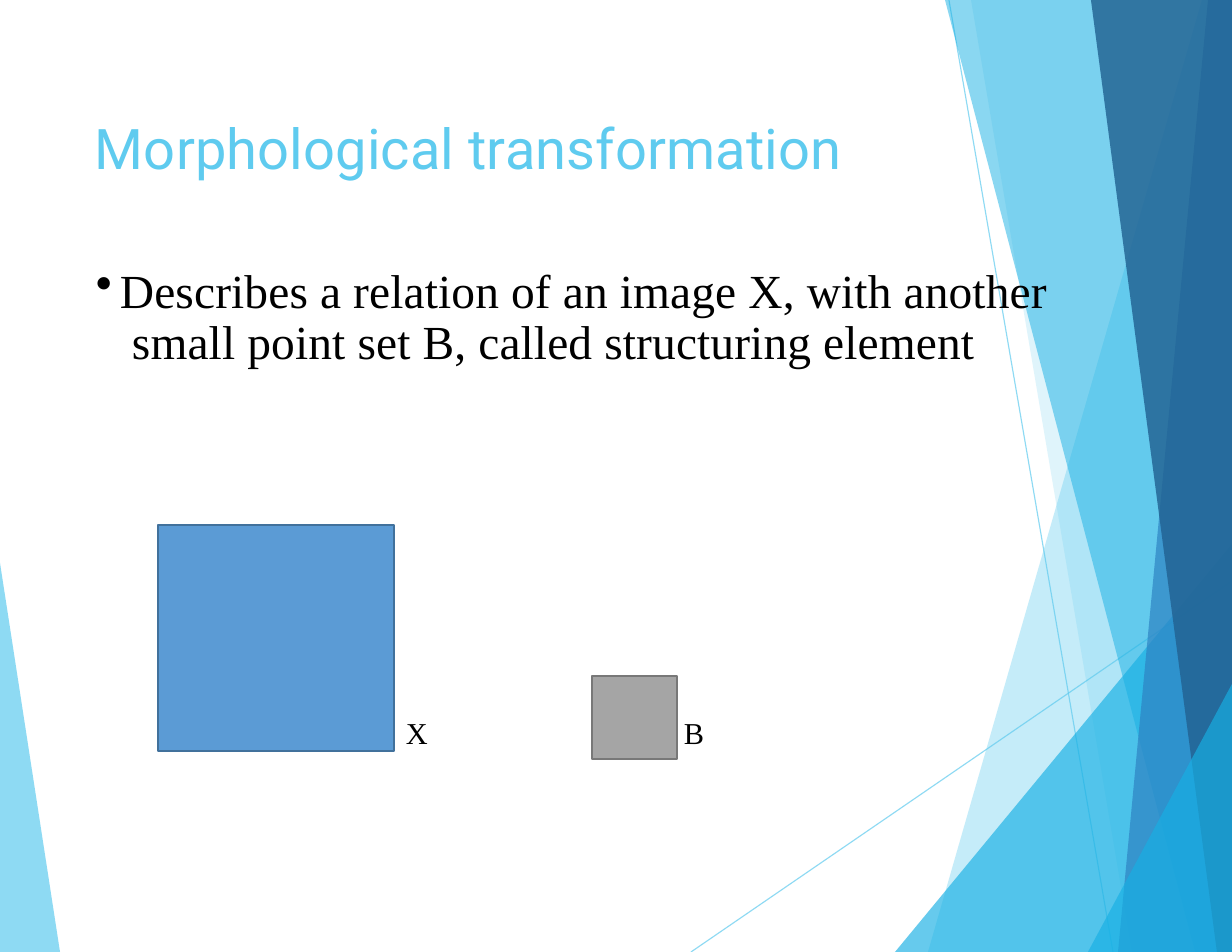
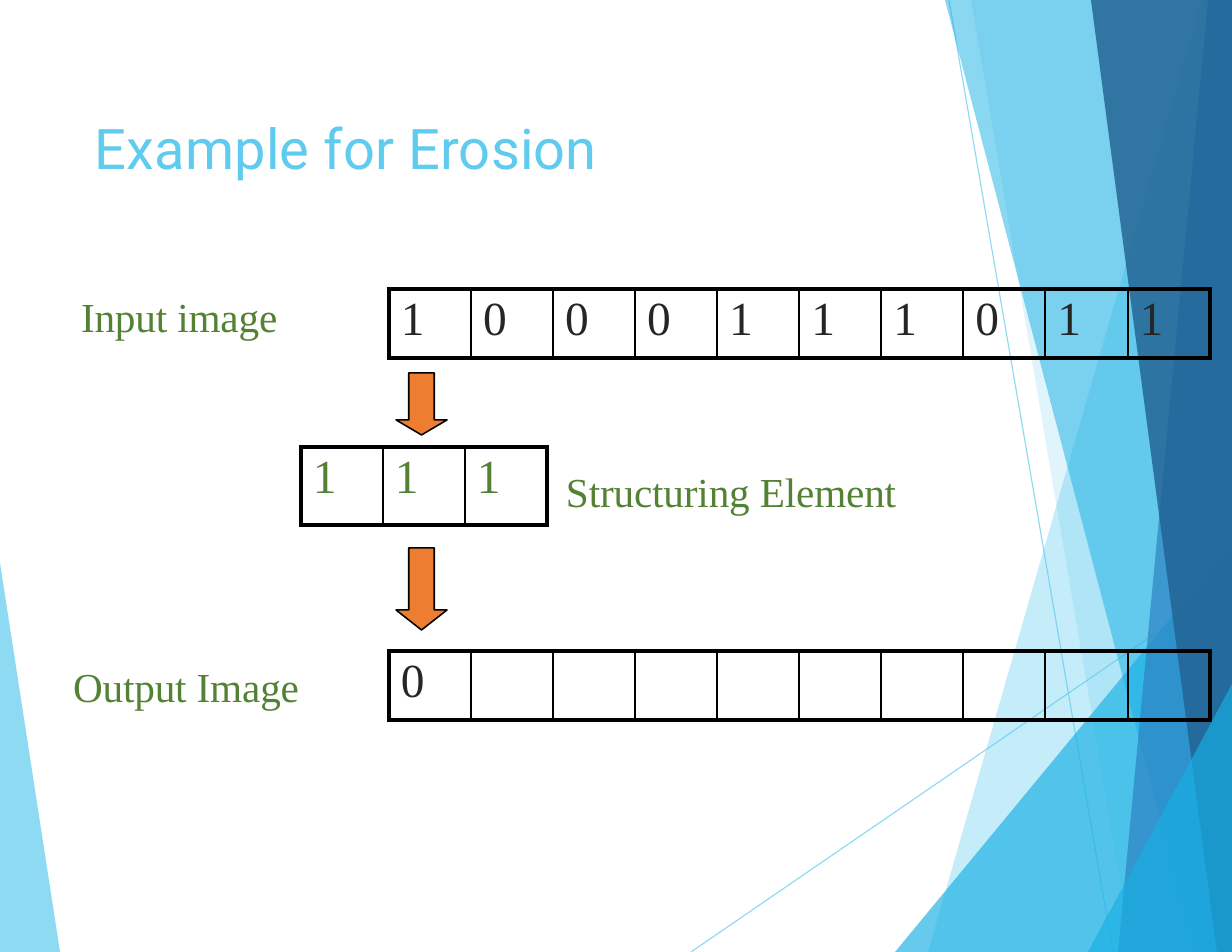
from dataclasses import dataclass

from lxml.etree import SubElement
from pptx import Presentation
from pptx.dml.color import RGBColor
from pptx.enum.shapes import MSO_CONNECTOR, MSO_SHAPE as SHAPE
from pptx.oxml.ns import qn
from pptx.util import Pt

EMU_PER_PX = 914400 / 112


@dataclass(frozen=True)
class TextStyle:
    """Type settings for one kind of text; sizes in points."""
    font: str
    size: float
    color: str
    before: float = 0
    inset: int = 0
    spacing: int = 0


@dataclass(frozen=True)
class Theme:
    """Colours and type styles shared by the slides."""
    sky: str = "5FCBEF"
    cyan: str = "17B0E4"
    blue: str = "2E83C3"
    navy: str = "226292"
    square: str = "5B9BD5"
    square_edge: str = "41719C"
    element: str = "A5A5A5"
    element_edge: str = "787878"
    arrow: str = "ED7D31"
    black: str = "000000"
    title: TextStyle = TextStyle("Roboto", 36, "5FCBEF", 1.4, 2, 10)
    body: TextStyle = TextStyle("Times New Roman", 30.5, "000000", 5.2, 8, 10)
    tag: TextStyle = TextStyle("Times New Roman", 19.5, "000000", 1.3, 2, 20)
    label: TextStyle = TextStyle("Times New Roman", 26.5, "548235", 0.9, 1, -10)
    pixel: TextStyle = TextStyle("Times New Roman", 30.5, "262626", 3.1, 4)
    kernel: TextStyle = TextStyle("Times New Roman", 30.5, "548235", 3.1, 4)


THEME = Theme()


def px(length):
    """Turn pixels into EMU."""
    return round(length * EMU_PER_PX)


@dataclass(frozen=True)
class Box:
    """A rectangle in pixels."""
    left: int
    top: int
    width: int
    height: int

    def inner(self, left, top, width, height):
        """Return a box placed relative to this one."""
        return Box(self.left + left, self.top + top, width, height)

    def emu(self):
        """Return left, top, width and height in EMU."""
        return [px(side) for side in (self.left, self.top, self.width, self.height)]


PAGE = Box(0, 0, 1232, 952)
TITLE = Box(95, 112, 800, 70)
TRANSFORMATION = Box(95, 258, 957, 501)
EROSION = Box(73, 289, 1137, 434)

FACETS = [
    ([(0, 563), (60, 952), (0, 952)], THEME.sky, 70),
    ([(1202, 0), (928, 952), (1232, 952), (1232, 0)], THEME.sky, 36),
    ([(971, 0), (1132, 952), (1232, 952), (1232, 0)], THEME.sky, 20),
    ([(895, 952), (1232, 544), (1232, 952)], THEME.cyan, 66),
    ([(945, 0), (1195, 952), (1232, 952), (1232, 0)], THEME.cyan, 50),
    ([(1208, 0), (1118, 952), (1232, 952), (1232, 0)], THEME.blue, 70),
    ([(1091, 0), (1217, 952), (1232, 952), (1232, 0)], THEME.navy, 82),
    ([(1088, 952), (1232, 684), (1232, 952)], THEME.cyan, 66),
]
RAYS = [((691, 952), (1232, 581)), ((949, 0), (1113, 952))]


def rgb(color):
    """Turn a hex string into a colour."""
    return RGBColor.from_string(color)


def set_opacity(shape, percent):
    """Make the colours of a shape or line partly transparent."""
    for color in shape.element.spPr.iter(qn("a:srgbClr")):
        SubElement(color, qn("a:alpha"), val=str(percent * 1000))


def add_facet(page, points, color, opacity):
    """Draw one translucent polygon."""
    builder = page.shapes.build_freeform(*points[0], scale=EMU_PER_PX)
    builder.add_line_segments(points[1:])
    facet = builder.convert_to_shape()
    facet.shadow.inherit = False
    facet.fill.solid()
    facet.fill.fore_color.rgb = rgb(color)
    facet.line.fill.background()
    set_opacity(facet, opacity)


def add_ray(page, start, end):
    """Draw one thin translucent line."""
    ray = page.shapes.add_connector(
        MSO_CONNECTOR.STRAIGHT, *[px(value) for value in start + end])
    ray.line.color.rgb = rgb(THEME.sky)
    ray.line.width = Pt(0.75)
    set_opacity(ray, 70)
    SubElement(ray.element.spPr, qn("a:effectLst"))


def add_backdrop(page):
    """Draw the facets and rays behind the content."""
    wedge, *others = FACETS
    add_facet(page, *wedge)
    for start, end in RAYS:
        add_ray(page, start, end)
    for facet in others:
        add_facet(page, *facet)


def write(para, text, style):
    """Add a run of text in the given style."""
    para.space_before = Pt(style.before)
    span = para.add_run()
    span.text = text
    span.font.name = style.font
    span.font.size = Pt(style.size)
    span.font.color.rgb = rgb(style.color)
    span.font._element.set("spc", str(style.spacing))


def add_text(page, box, text, style):
    """Add a text box and return its paragraph."""
    frame = page.shapes.add_textbox(*box.emu()).text_frame
    frame.word_wrap = True
    frame.margin_left = frame.margin_right = frame.margin_bottom = 0
    frame.margin_top = px(style.inset)
    para = frame.paragraphs[0]
    write(para, text, style)
    return para


def add_bullet(page, box, text):
    """Add a bulleted body paragraph."""
    para = add_text(page, box, text, THEME.body)
    para.line_spacing = Pt(33.2)
    props = para._element.get_or_add_pPr()
    props.set("marL", str(px(25)))
    props.set("indent", str(px(-24)))
    SubElement(props, qn("a:buChar"), char="•")


def add_preset(page, kind, box, fill, edge):
    """Add a filled and outlined preset shape."""
    shape = page.shapes.add_shape(kind, *box.emu())
    shape.shadow.inherit = False
    shape.fill.solid()
    shape.fill.fore_color.rgb = rgb(fill)
    shape.line.color.rgb = rgb(edge)
    shape.line.width = Pt(1)
    return shape


def add_down_arrow(page, box, head):
    """Add a down arrow whose head has the given height."""
    arrow = add_preset(page, SHAPE.DOWN_ARROW, box, THEME.arrow, THEME.black)
    arrow.adjustments[1] = head / box.width


def set_borders(cell, widths):
    """Set the left, right, top and bottom borders of a cell, in points."""
    props = cell._tc.get_or_add_tcPr()
    for index, (side, width) in enumerate(zip("LRTB", widths)):
        line = SubElement(props, qn(f"a:ln{side}"), w=str(Pt(width)))
        fill = SubElement(line, qn("a:solidFill"))
        SubElement(fill, qn("a:srgbClr"), val=THEME.black)
        props.insert(index, line)


def add_pixel_row(page, box, values, style):
    """Add a one-row table of pixel values with a heavy frame."""
    count = len(values)
    table = page.shapes.add_table(1, count, *box.emu()).table
    table.first_row = table.horz_banding = False
    for index, value in enumerate(values):
        table.columns[index].width = px(box.width / count)
        cell = table.cell(0, index)
        cell.margin_left = px(12)
        cell.margin_top = px(style.inset)
        cell.margin_right = cell.margin_bottom = 0
        cell.fill.background()
        set_borders(cell, (3 if index == 0 else 1.5,
                           3 if index == count - 1 else 1.5, 3, 3))
        if value:
            write(cell.text_frame.paragraphs[0], value, style)


def add_transformation(page, box):
    """Place the definition with the image X and the element B."""
    add_bullet(page, box.inner(0, 0, box.width, 112),
               "Describes a relation of an image X, with another "
               " small point set B, called structuring element")
    add_preset(page, SHAPE.RECTANGLE, box.inner(63, 267, 236, 226),
               THEME.square, THEME.square_edge)
    add_preset(page, SHAPE.RECTANGLE, box.inner(497, 418, 85, 83),
               THEME.element, THEME.element_edge)
    for tag, left in (("X", 311), ("B", 589)):
        add_text(page, box.inner(left, 454, 30, 40), tag, THEME.tag)


def add_erosion(page, box):
    """Place the input, structuring element and output rows."""
    add_pixel_row(page, box.inner(316, 0, 821, 69), "1000111011", THEME.pixel)
    add_pixel_row(page, box.inner(228, 158, 246, 78), "111", THEME.kernel)
    add_pixel_row(page, box.inner(316, 362, 821, 69), ["0"] + [""] * 9, THEME.pixel)
    for text, left, top in (("Input image", 8, 1),
                            ("Structuring Element", 493, 176),
                            ("Output Image", 0, 371)):
        add_text(page, box.inner(left, top, 340, 53), text, THEME.label)
    for top, height, head in ((84, 62, 15), (259, 82, 20)):
        add_down_arrow(page, box.inner(323, top, 51, height), head)


def add_page(deck, title):
    """Add a slide with the backdrop and a title."""
    page = deck.slides.add_slide(deck.slide_layouts[6])
    add_backdrop(page)
    add_text(page, TITLE, title, THEME.title)
    return page


def main():
    """Build the deck and save it."""
    deck = Presentation()
    deck.slide_width, deck.slide_height = px(PAGE.width), px(PAGE.height)
    add_transformation(add_page(deck, "Morphological transformation"), TRANSFORMATION)
    add_erosion(add_page(deck, "Example for Erosion"), EROSION)
    deck.save("out.pptx")


if __name__ == "__main__":
    main()
